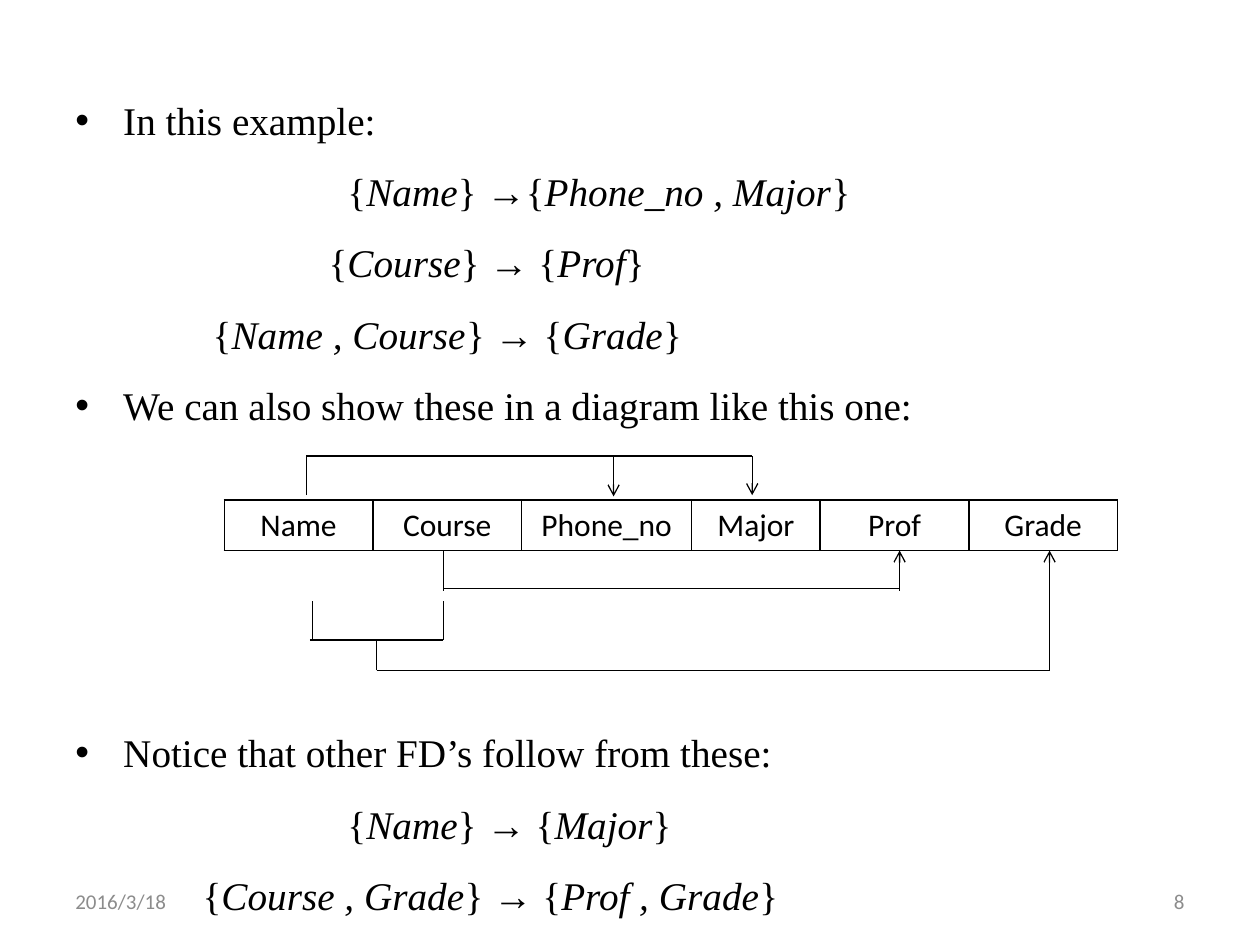
from pptx import Presentation
from pptx.dml.color import RGBColor
from pptx.enum.shapes import MSO_CONNECTOR
from pptx.enum.text import MSO_ANCHOR, PP_ALIGN
from pptx.oxml.ns import qn
from pptx.util import Inches, Pt
from lxml.etree import SubElement

COLORS = {"ink": "000000", "paper": "FFFFFF", "footer": "8C8C8C"}
SERIF, SANS = "Times New Roman", "Calibri"


class SlideBuilder:
    """Holds the style and the current slide."""

    def __init__(self, page):
        self.page = page

    def format_span(self, span, size, font, color="ink", italic=False):
        """Set the look of one run."""
        span.font.size = Pt(size)
        span.font.name = font
        span.font.italic = italic
        span.font.color.rgb = RGBColor.from_string(COLORS[color])

    def text_box(self, left, top, width, height):
        """Add a wrapping text box and return its frame."""
        box = self.page.shapes.add_textbox(
            Inches(left), Inches(top), Inches(width), Inches(height))
        box.text_frame.word_wrap = True
        return box.text_frame

    def body_paragraph(self, para, parts, margin, gap=5.9, bullet=False):
        """Fill a paragraph; every second part is italic."""
        para.line_spacing = 1.3
        para.space_before = Pt(gap)
        for index, part in enumerate(parts):
            span = para.add_run()
            span.text = part
            self.format_span(span, 22.4, SERIF, italic=index % 2 == 1)
        properties = para._p.get_or_add_pPr()
        properties.set("marL", str(Inches(margin)))
        properties.set("indent", str(Inches(-margin if bullet else 0)))
        if bullet:
            SubElement(properties, qn("a:buFont"), typeface="Arial")
            SubElement(properties, qn("a:buChar"), char="•")
        else:
            SubElement(properties, qn("a:buNone"))

    def footer(self, left, text, align):
        """Add a small grey footer text."""
        frame = self.text_box(left, 6.95, 2.33, 0.4)
        frame.vertical_anchor = MSO_ANCHOR.MIDDLE
        frame.text = text
        para = frame.paragraphs[0]
        para.alignment = align
        self.format_span(para.runs[0], 12, SANS, "footer")

    def border(self, cell):
        """Draw a thin line on all four sides of a cell."""
        properties = cell._tc.get_or_add_tcPr()
        for position, side in enumerate(("lnL", "lnR", "lnT", "lnB")):
            line = SubElement(properties, qn("a:" + side), w=str(Pt(1)))
            fill = SubElement(line, qn("a:solidFill"))
            SubElement(fill, qn("a:srgbClr"), val=COLORS["ink"])
            properties.remove(line)
            properties.insert(position, line)

    def attribute_table(self, left, top, height, columns):
        """Add a one-row table from (name, width) pairs."""
        total = sum(width for _, width in columns)
        table = self.page.shapes.add_table(
            1, len(columns), Inches(left), Inches(top),
            Inches(total), Inches(height)).table
        table.first_row = table.horz_banding = False
        for index, (name, width) in enumerate(columns):
            table.columns[index].width = Inches(width)
            cell = table.cell(0, index)
            cell.fill.solid()
            cell.fill.fore_color.rgb = RGBColor.from_string(COLORS["paper"])
            cell.text_frame.text = name
            para = cell.text_frame.paragraphs[0]
            para.alignment = PP_ALIGN.CENTER
            self.format_span(para.runs[0], 18, SANS)
            self.border(cell)

    def line(self, x1, y1, x2, y2, arrow=False):
        """Add a straight line, optionally with an open arrowhead."""
        connector = self.page.shapes.add_connector(
            MSO_CONNECTOR.STRAIGHT,
            Inches(x1), Inches(y1), Inches(x2), Inches(y2))
        connector.line.width = Pt(0.75)
        connector.line.color.rgb = RGBColor.from_string(COLORS["ink"])
        if arrow:
            SubElement(connector.line._get_or_add_ln(), qn("a:tailEnd"), type="arrow")
        SubElement(connector._element.spPr, qn("a:effectLst"))


def dependency(left, right, arrow="} → {"):
    """Return the parts of a functional dependency."""
    return ["{", left, arrow, right, "}"]


deck = Presentation()
deck.slide_width, deck.slide_height = Inches(10), Inches(7.5)
slide = SlideBuilder(deck.slides.add_slide(deck.slide_layouts[6]))

BULLET = {"margin": 0.38, "bullet": True}
DIAGRAM_GAP = 163.3
body = [
    (["In this example:"], BULLET),
    (dependency("Name", "Phone_no , Major", "} →{"), {"margin": 2.16}),
    (dependency("Course", "Prof"), {"margin": 2.01}),
    (dependency("Name , Course", "Grade"), {"margin": 1.09}),
    (["We can also show these in a diagram like this one:"], BULLET),
    (["Notice that other FD’s follow from these:"], {**BULLET, "gap": DIAGRAM_GAP}),
    (dependency("Name", "Major"), {"margin": 2.16}),
    (dependency("Course , Grade", "Prof , Grade"), {"margin": 1.01}),
]
frame = slide.text_box(0.5, 0.6, 9, 6.69)
for number, (parts, layout) in enumerate(body):
    para = frame.add_paragraph() if number else frame.paragraphs[0]
    slide.body_paragraph(para, parts, **layout)

slide.attribute_table(1.78, 3.97, 0.4, [
    ("Name", 1.18), ("Course", 1.18), ("Phone_no", 1.35),
    ("Major", 1.02), ("Prof", 1.18), ("Grade", 1.18)])

TABLE_BOTTOM = 4.37
name_x, course_x, phone_x, major_x, prof_x, grade_x = 2.43, 3.52, 4.87, 5.97, 7.14, 8.33
pair_x, pair_left = 2.99, 2.48
dependency_lines = [
    # Name to Phone_no and Major
    (name_x, 3.93, name_x, 3.62),
    (name_x, 3.62, major_x, 3.62),
    (major_x, 3.62, major_x, 3.93, True),
    (phone_x, 3.63, phone_x, 3.94, True),
    # Course to Prof
    (course_x, 4.67, prof_x, 4.67),
    (course_x, 4.69, course_x, TABLE_BOTTOM),
    (prof_x, 4.69, prof_x, TABLE_BOTTOM, True),
    # Name and Course to Grade
    (2.46, 5.08, course_x, 5.08),
    (course_x, 5.08, course_x, 4.77),
    (pair_left, 5.08, pair_left, 4.77),
    (grade_x, 5.32, grade_x, TABLE_BOTTOM, True),
    (pair_x, 5.32, grade_x, 5.32),
    (pair_x, 5.32, pair_x, 5.08),
]
for points in dependency_lines:
    slide.line(*points)

slide.footer(0.5, "2016/3/18", PP_ALIGN.LEFT)
slide.footer(7.17, "8", PP_ALIGN.RIGHT)

deck.save("out.pptx")
